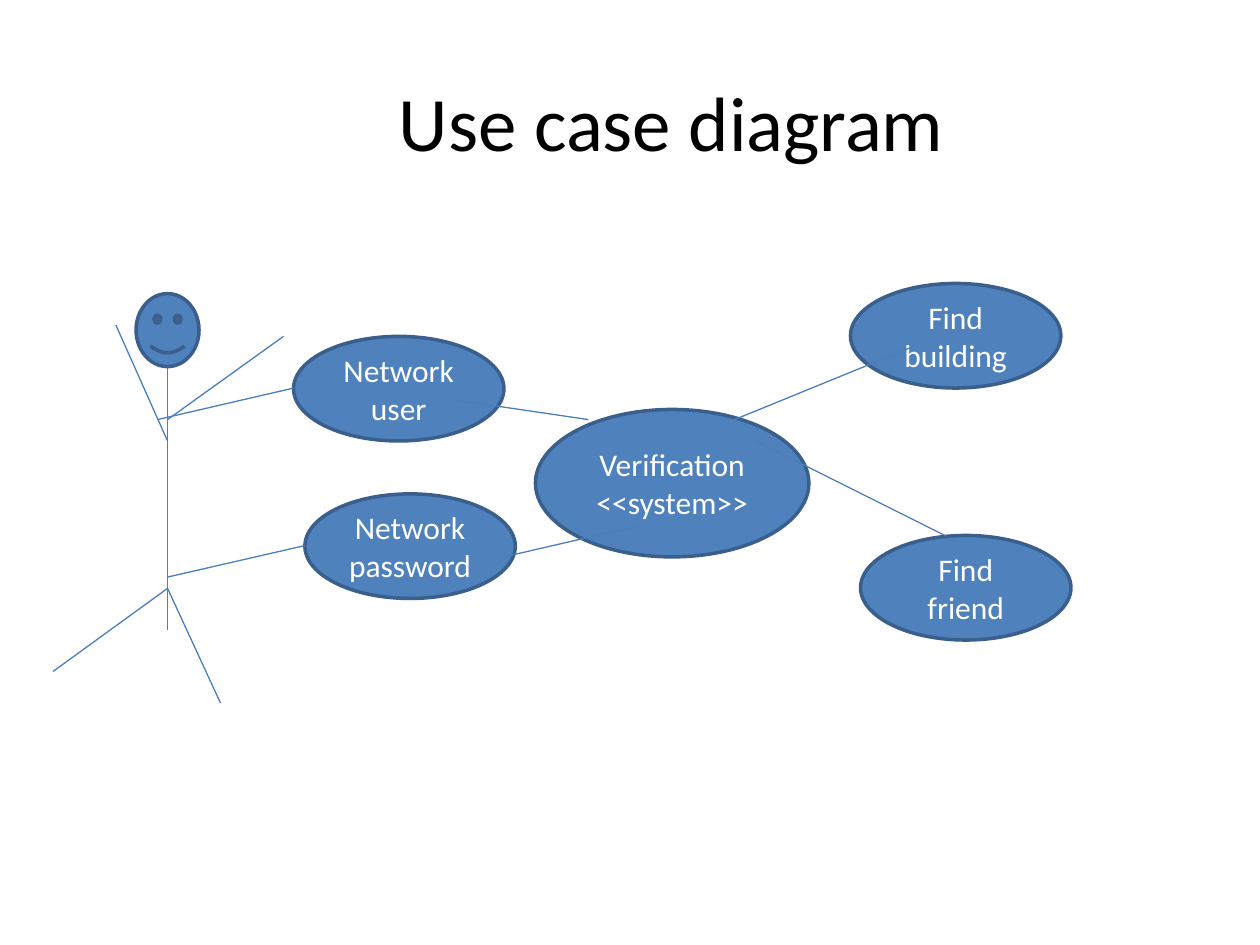
from lxml import etree
from pptx import Presentation
from pptx import util as u
from pptx.dml.color import RGBColor
from pptx.enum import shapes, text
from pptx.oxml.ns import qn

BLACK = RGBColor(0x00, 0x00, 0x00)
WHITE = RGBColor(0xFF, 0xFF, 0xFF)
BLUE = RGBColor(0x4F, 0x81, 0xBD)
OUTLINE = RGBColor(0x3A, 0x5F, 0x8C)
LINK = RGBColor(0x4B, 0x7E, 0xBC)

SPINE_X = 1.33
CASE_SIZE = (1.67, 0.83)
SYSTEM_SIZE = (2.17, 1.17)

USE_CASES = [
    ("Network user", (2.33, 2.67), CASE_SIZE),
    ("Find building", (6.75, 2.25), CASE_SIZE),
    ("Network\npassword", (2.42, 3.92), CASE_SIZE),
    ("Find friend", (6.83, 4.25), CASE_SIZE),
    ("Verification\n<<system>>", (4.25, 3.25), SYSTEM_SIZE),
]
BODY_AND_LEGS = [
    ((SPINE_X, 2.92), (SPINE_X, 5)),
    ((SPINE_X, 4.67), (1.75, 5.58)),
    ((0.42, 5.33), (SPINE_X, 4.67)),
]
ARMS = [
    ((0.92, 2.58), (SPINE_X, 3.5)),
    ((SPINE_X, 3.33), (2.25, 2.67)),
]
ASSOCIATIONS = [
    ((1.25, 3.33), (2.33, 3.08)),
    ((SPINE_X, 4.58), (2.42, 4.33)),
    ((4, 4.42), (5.08, 4.17)),
    ((3.58, 3.17), (4.67, 3.33)),
    ((5.83, 3.33), (7.25, 2.75)),
    ((6, 3.5), (7.5, 4.25)),
]


def write_text(shape, content, size=18, color=WHITE, font="Calibri"):
    """Fill a shape with centred paragraphs, one for each line of content."""
    frame = shape.text_frame
    frame.word_wrap = True
    frame.vertical_anchor = text.MSO_ANCHOR.MIDDLE
    frame.text = content
    for paragraph in frame.paragraphs:
        paragraph.alignment = text.PP_ALIGN.CENTER
        for run in paragraph.runs:
            run.font.name = font
            run.font.size = u.Pt(size)
            run.font.color.rgb = color


def add_title(slide, content):
    """Place and format the title placeholder."""
    title = slide.shapes.title
    title.left, title.top = u.Inches(0.83), u.Inches(0.33)
    title.width, title.height = u.Inches(9), u.Inches(1.25)
    write_text(title, content, size=44, color=BLACK)


def add_blue_shape(slide, kind, position, size):
    """Add a blue preset shape with a darker outline."""
    shape = slide.shapes.add_shape(kind, *map(u.Inches, position + size))
    shape.shadow.inherit = False
    shape.fill.solid()
    shape.fill.fore_color.rgb = BLUE
    shape.line.color.rgb = OUTLINE
    shape.line.width = u.Pt(2)
    return shape


def add_use_case(slide, label, position, size):
    """Add a labelled use case ellipse."""
    ellipse = add_blue_shape(slide, shapes.MSO_SHAPE.OVAL, position, size)
    write_text(ellipse, label)


def add_lines(slide, segments):
    """Add a thin straight connector for each pair of points."""
    for start, end in segments:
        connector = slide.shapes.add_connector(
            shapes.MSO_CONNECTOR.STRAIGHT, *map(u.Inches, start + end))
        connector.line.color.rgb = LINK
        connector.line.width = u.Pt(0.75)
        etree.SubElement(connector._element.spPr, qn("a:effectLst"))


def main():
    """Build the use case diagram slide."""
    presentation = Presentation()
    presentation.slide_width = u.Inches(10)
    presentation.slide_height = u.Inches(7.5)
    slide = presentation.slides.add_slide(presentation.slide_layouts[5])
    add_title(slide, "Use case diagram")
    add_blue_shape(slide, shapes.MSO_SHAPE.SMILEY_FACE, (1.08, 2.33), (0.5, 0.58))
    add_lines(slide, BODY_AND_LEGS)
    for label, position, size in USE_CASES:
        add_use_case(slide, label, position, size)
    add_lines(slide, ASSOCIATIONS + ARMS)
    presentation.save("out.pptx")


if __name__ == "__main__":
    main()
